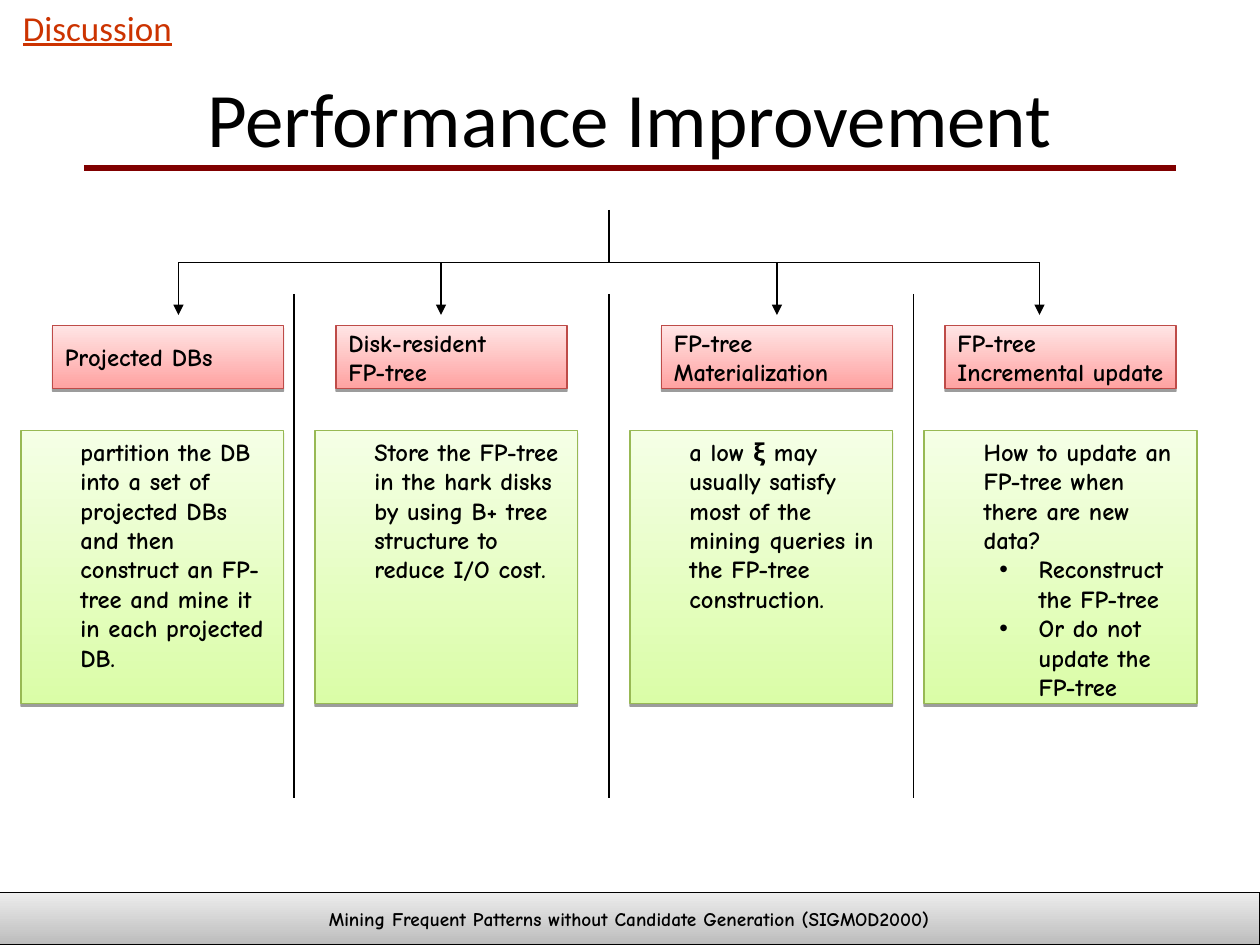
from lxml import etree
from pptx import Presentation
from pptx import util as u
from pptx.dml.color import RGBColor
from pptx.enum import shapes, text
from pptx.oxml import ns

COLORS = {
    "ink": "000000",
    "section": "CC3300",
    "rule": "800000",
    "footer": ("BCBCBC", "EDEDED"),
    "header": ("FFA2A1", "FFE5E5"),
    "header_edge": "BE4B48",
    "detail": ("DAFDA7", "F5FFE6"),
    "detail_edge": "98B954",
}
HEADING_FONT, BODY_FONT = "Calibri", "Comic Neue"
LEFT, CENTER = text.PP_ALIGN.LEFT, text.PP_ALIGN.CENTER

TOPICS = [
    (17, 5, ["Projected DBs"], (2, 25),
     ["partition the DB into a set of projected DBs and then construct an "
      "FP-tree and mine it in each projected DB."], []),
    (42, 32, ["Disk-resident", "FP-tree"], (30, 25),
     ["Store the FP-tree in the hark disks by using B+ tree structure to "
      "reduce I/O cost."], []),
    (74, 63, ["FP-tree", "Materialization"], (60, 25),
     ["a low ξ may usually satisfy most of the mining queries in the "
      "FP-tree construction."], []),
    (99, 90, ["FP-tree", "Incremental update"], (88, 26),
     ["How to update an FP-tree when there are new data?"],
     ["Reconstruct the FP-tree", "Or do not update the FP-tree"]),
]


def grid(twelfths):
    return u.Cm(twelfths * 2.54 / 12)


def rgb(name):
    return RGBColor.from_string(COLORS[name])


def add_xml(parent, tag, **attributes):
    return etree.SubElement(parent, ns.qn(tag), attributes)


def write(frame, lines, size=14, font=BODY_FONT, color="ink", bold=True,
          underline=False, align=LEFT, anchor=text.MSO_ANCHOR.TOP,
          wrap=True, indent=0, hanging=0, bullet=None, append=False):
    frame.word_wrap = wrap
    frame.vertical_anchor = anchor
    for number, line in enumerate(lines):
        fresh = append or number > 0
        paragraph = frame.add_paragraph() if fresh else frame.paragraphs[0]
        paragraph.alignment = align
        run = paragraph.add_run()
        run.text = line
        run.font.size = u.Pt(size)
        run.font.name = font
        run.font.bold = bold
        run.font.underline = underline
        run.font.color.rgb = rgb(color)
        properties = paragraph._p.get_or_add_pPr()
        properties.set("marL", str(u.Cm(indent)))
        properties.set("indent", str(-u.Cm(hanging)))
        if bullet:
            paragraph.level = 1
            add_xml(properties, "a:buFont", typeface="Arial")
            add_xml(properties, "a:buChar", char=bullet)


def add_line(slide, start, end, color="ink", width=0.75, arrow=False):
    line = slide.shapes.add_connector(
        shapes.MSO_CONNECTOR.STRAIGHT, *map(grid, start + end))
    line.line.color.rgb = rgb(color)
    line.line.width = u.Pt(width)
    if arrow:
        add_xml(line.line._get_or_add_ln(), "a:tailEnd", type="triangle")
    add_xml(line._element.spPr, "a:effectLst")


def add_panel(slide, box, fill, edge):
    panel = slide.shapes.add_shape(
        shapes.MSO_SHAPE.RECTANGLE, *map(grid, box))
    panel.fill.gradient()
    panel.fill.gradient_angle = 90
    for stop, shade in zip(panel.fill.gradient_stops, COLORS[fill]):
        stop.color.rgb = RGBColor.from_string(shade)
    panel.line.color.rgb = rgb(edge)
    panel.line.width = u.Pt(0.75)
    panel.shadow.inherit = False
    effects = panel._element.spPr.find(ns.qn("a:effectLst"))
    shadow = add_xml(effects, "a:outerShdw", blurRad="0",
                     dist=str(u.Pt(1.6)), dir="5400000", rotWithShape="0")
    shade = add_xml(shadow, "a:srgbClr", val=COLORS["ink"])
    add_xml(shade, "a:alpha", val="38000")
    return panel.text_frame


def add_heading(slide, left, top, width, height):
    title = slide.shapes.title
    title.left, title.top = grid(left), grid(top)
    title.width, title.height = grid(width), grid(height)
    write(title.text_frame, ["Performance Improvement"], size=44,
          font=HEADING_FONT, bold=False, align=CENTER,
          anchor=text.MSO_ANCHOR.MIDDLE)


def add_section_label(slide, left, top, width, height):
    label = slide.shapes.add_textbox(*map(grid, (left, top, width, height)))
    write(label.text_frame, ["Discussion"], size=20, font=HEADING_FONT,
          color="section", bold=False, underline=True)


def add_footer(slide, left, top, width, height):
    frame = add_panel(slide, (left, top, width, height), "footer", "ink")
    write(frame,
          ["Mining Frequent Patterns without Candidate Generation (SIGMOD2000)"],
          size=11, align=CENTER, anchor=text.MSO_ANCHOR.MIDDLE, wrap=False)


def add_branches(slide, stem, top, height):
    bar = top + height / 2
    add_line(slide, (stem, top), (stem, bar))
    arrows = [topic[0] for topic in TOPICS]
    for end in (arrows[0], arrows[-1]):
        add_line(slide, (stem, bar), (end, bar))
    for arrow in arrows:
        add_line(slide, (arrow, bar), (arrow, top + height), arrow=True)


def add_dividers(slide, lefts, top, height):
    for left in lefts:
        add_line(slide, (left, top), (left, top + height))


def add_topics(slide, top):
    for _, left, heading, (detail_left, detail_width), detail, options in TOPICS:
        header = add_panel(slide, (left, top, 22, 6), "header", "header_edge")
        write(header, heading, anchor=text.MSO_ANCHOR.MIDDLE, wrap=False)
        body = add_panel(slide, (detail_left, top + 10, detail_width, 26),
                         "detail", "detail_edge")
        write(body, detail, indent=0.95)
        write(body, options, indent=2.06, hanging=0.79, bullet="•", append=True)


def main():
    deck = Presentation()
    deck.slide_width, deck.slide_height = u.Cm(25.4), u.Cm(19.05)
    slide = deck.slides.add_slide(deck.slide_layouts[5])
    add_heading(slide, 6, 3.6, 108, 15)
    add_section_label(slide, 1, 0, 18, 5.3)
    add_footer(slide, -0.1, 85, 120.1, 5)
    add_branches(slide, stem=58, top=20, height=10)
    add_dividers(slide, (28, 58, 87), top=28, height=48)
    add_topics(slide, top=31)
    add_line(slide, (8, 16), (112, 16), color="rule", width=3.25)
    deck.save("out.pptx")


if __name__ == "__main__":
    main()
